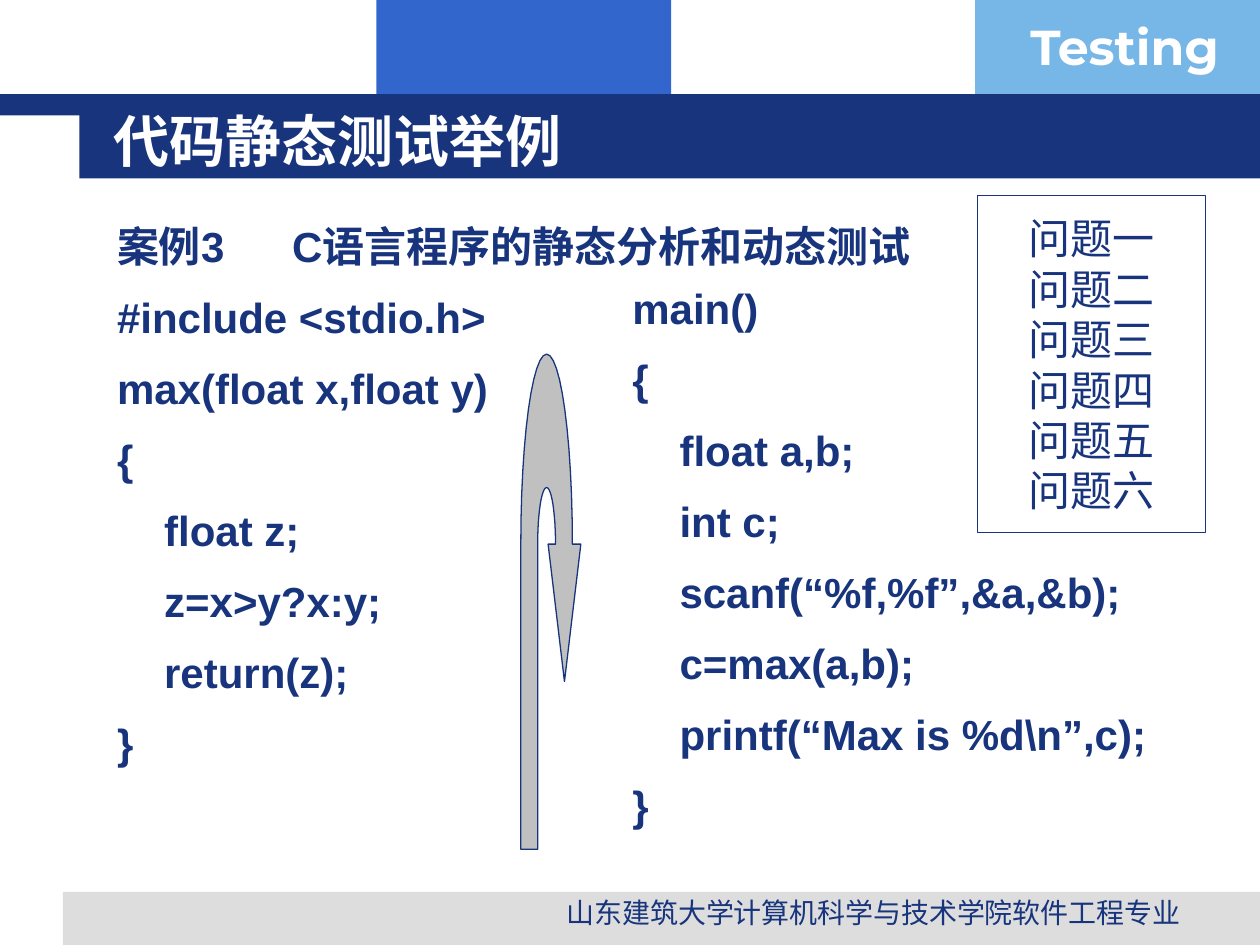
"""Build a slide on static testing of a small C program."""
from math import cos, pi, sin

from lxml import etree
from pptx import Presentation
from pptx.dml.color import RGBColor
from pptx.enum.shapes import MSO_SHAPE
from pptx.enum.text import MSO_ANCHOR, PP_ALIGN
from pptx.oxml.ns import qn
from pptx.util import Cm, Pt

RECTANGLE = MSO_SHAPE.RECTANGLE
LEFT, CENTER = PP_ALIGN.LEFT, PP_ALIGN.CENTER
TOP, MIDDLE = MSO_ANCHOR.TOP, MSO_ANCHOR.MIDDLE
COLORS = {
    "navy": "17347D",
    "blue": "3366CC",
    "sky": "77B7E7",
    "footer": "DDDDDD",
    "arrow": "C0C0C0",
    "white": "FFFFFF",
}
CODE_INDENT = Cm(0.95)
HEADING_TAB = Cm(3.53)


def write_text(shape, text, size=24, font="Arial", color="navy", bold=False,
               align=LEFT, anchor=TOP, wrap=True, line_spacing=1.0, space_before=0):
    frame = shape.text_frame
    frame.word_wrap = wrap
    frame.vertical_anchor = anchor
    for index, line in enumerate(text.split("\n")):
        paragraph = frame.add_paragraph() if index else frame.paragraphs[0]
        paragraph.alignment = align
        paragraph.line_spacing = line_spacing
        paragraph.space_before = Pt(space_before)
        properties = paragraph._p.get_or_add_pPr()
        if line.startswith("\t"):
            properties.set("marL", str(CODE_INDENT))
        elif "\t" in line:
            tabs = etree.SubElement(properties, qn("a:tabLst"))
            etree.SubElement(tabs, qn("a:tab"), pos=str(HEADING_TAB), algn="l")
        run = paragraph.add_run()
        run.text = line.lstrip("\t")
        run.font.size = Pt(size)
        run.font.name = font
        run.font.bold = bold
        run.font.color.rgb = RGBColor.from_string(COLORS[color])


def paint(shape, fill=None, line=None):
    shape.shadow.inherit = False
    if fill:
        shape.fill.solid()
        shape.fill.fore_color.rgb = RGBColor.from_string(COLORS[fill])
    else:
        shape.fill.background()
    if line:
        shape.line.color.rgb = RGBColor.from_string(COLORS[line])
        shape.line.width = Pt(0.75)
    else:
        shape.line.fill.background()


presentation = Presentation()
presentation.slide_width = Cm(25.4)
presentation.slide_height = Cm(19.05)
slide = presentation.slides.add_slide(presentation.slide_layouts[5])
shapes = slide.shapes
title = shapes.title

bands = [
    (7.59, 0, 5.94, 2.34, "blue"),
    (19.66, 0, 5.74, 2.34, "sky"),
    (1.27, 17.98, 24.13, 1.07, "footer"),
    (0, 1.9, 25.4, 0.43, "navy"),
    (1.6, 1.9, 23.8, 1.7, "navy"),
]
for left, top, width, height, color in bands:
    band = shapes.add_shape(RECTANGLE, Cm(left), Cm(top), Cm(width), Cm(height))
    paint(band, fill=color)

brand = shapes.add_textbox(Cm(20.52), Cm(0.2), Cm(4.9), Cm(1.45))
write_text(brand, "Testing", size=28, font="Montserrat", color="white", bold=True)

footer = shapes.add_textbox(Cm(10.31), Cm(17.93), Cm(14.61), Cm(0.79))
write_text(footer, "山东建筑大学计算机科学与技术学院软件工程专业", size=16, align=CENTER)

title.left, title.top, title.width, title.height = Cm(2.03), Cm(2.03), Cm(21.67), Cm(1.57)
write_text(title, "代码静态测试举例", size=32, font="DejaVu Sans", color="white",
           bold=True, anchor=MIDDLE)
shapes._spTree.append(title._element)

max_code = """案例3\tC语言程序的静态分析和动态测试
#include <stdio.h>
max(float x,float y)
{
\tfloat z;
\tz=x>y?x:y;
\treturn(z);
}"""
main_code = """main()
{
\tfloat a,b;
\tint c;
\tscanf(“%f,%f”,&a,&b);
\tc=max(a,b);
\tprintf(“Max is %d\\n”,c);
}"""
code_boxes = [
    (2.11, 4.11, 18.21, 13.59, max_code),
    (12.5, 5.36, 11.2, 10.6, main_code),
]
for left, top, width, height, code in code_boxes:
    code_box = shapes.add_textbox(Cm(left), Cm(top), Cm(width), Cm(height))
    write_text(code_box, code, bold=True, line_spacing=1.2, space_before=6)

center_x, shoulder_y, steps = 11.02, 10.97, 24
angles = [pi * step / steps for step in range(steps + 1)]
outer_arc = [(center_x + 0.52 * cos(a), shoulder_y - 3.83 * sin(a)) for a in angles]
inner_arc = [(center_x - 0.18 * cos(a), shoulder_y - 1.14 * sin(a)) for a in angles]
outline = [
    (11.38, 13.74), (11.71, shoulder_y), *outer_arc,
    (10.5, 17.12), (10.84, 17.12), *inner_arc, (11.05, shoulder_y),
]
points = [(Cm(x), Cm(y)) for x, y in outline]
builder = shapes.build_freeform(*points[0])
builder.add_line_segments(points[1:], close=True)
paint(builder.convert_to_shape(), fill="arrow", line="navy")

question_box = shapes.add_shape(RECTANGLE, Cm(19.71), Cm(3.94), Cm(4.6), Cm(6.8))
paint(question_box, line="navy")
questions = "\n".join(f"问题{number}" for number in "一二三四五六")
write_text(question_box, questions, align=CENTER, anchor=MIDDLE, wrap=False)

presentation.save("out.pptx")
